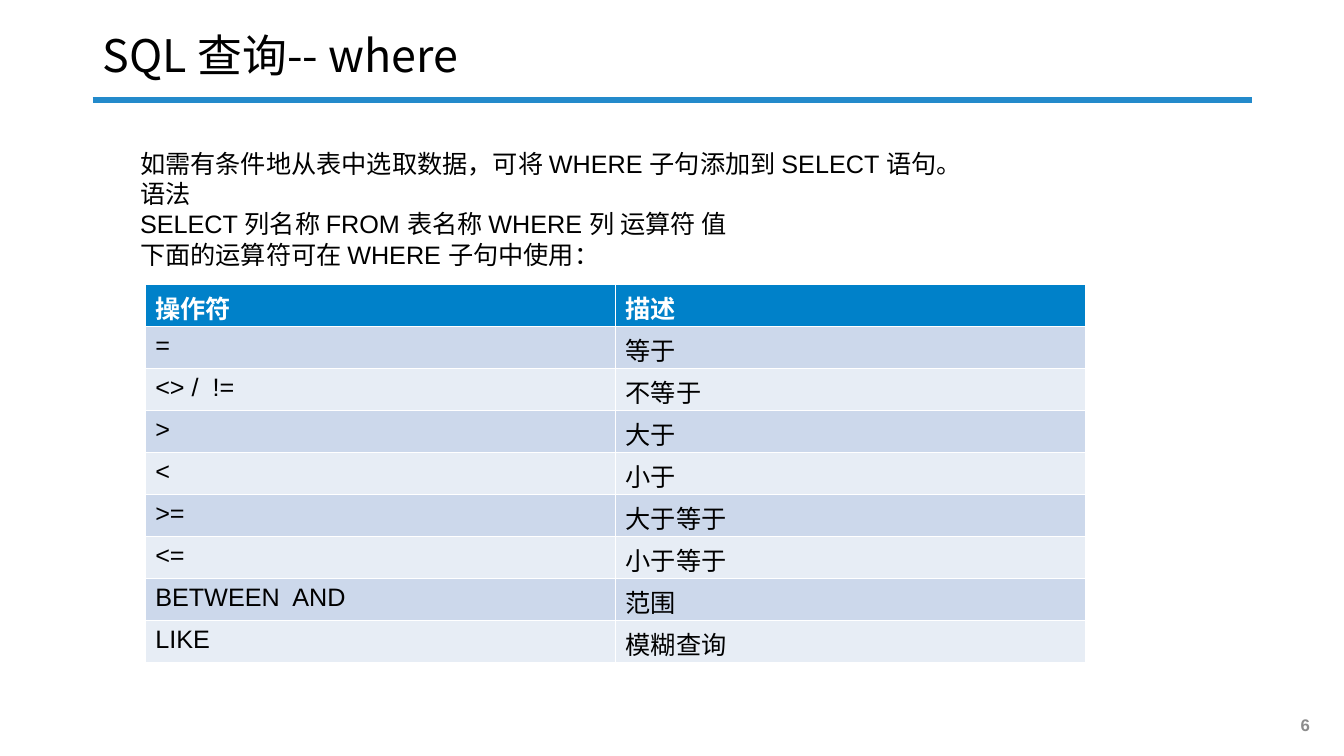
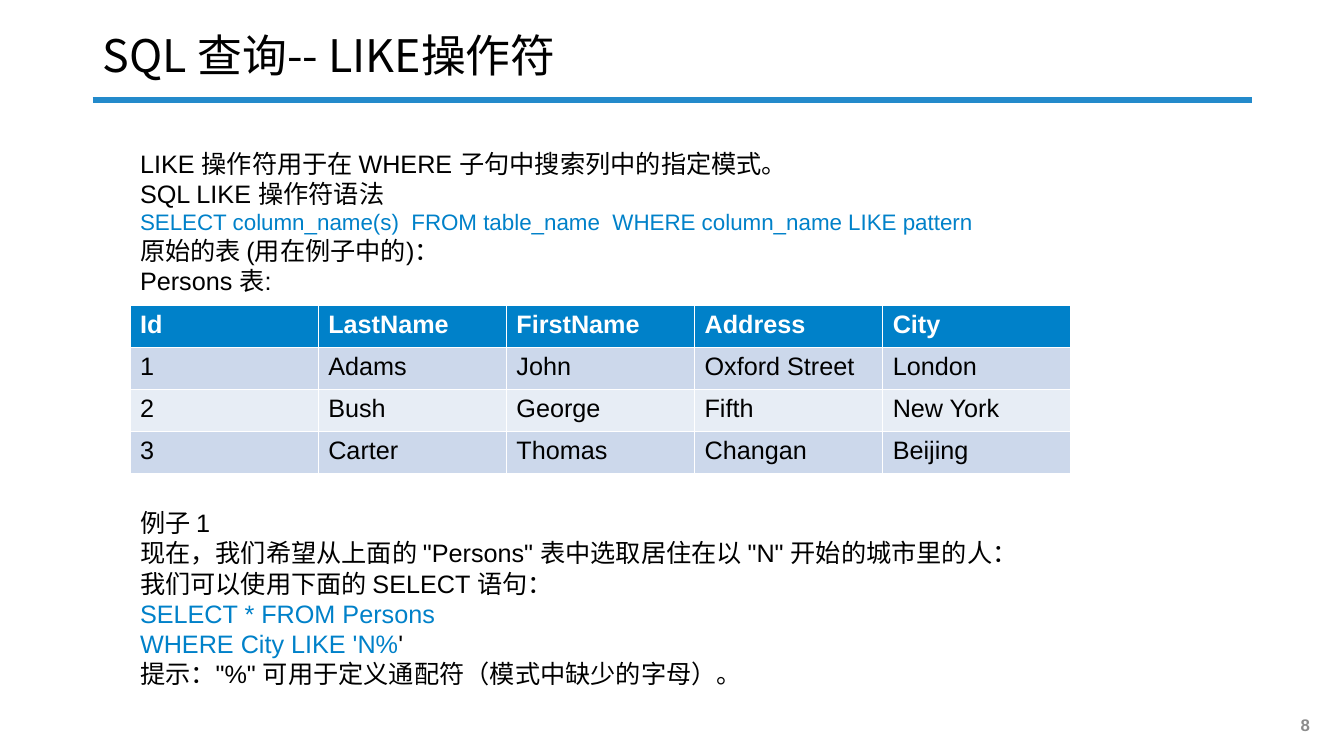
from pptx import Presentation
from pptx.dml.color import RGBColor
from pptx.enum.shapes import MSO_CONNECTOR
from pptx.enum.text import MSO_ANCHOR, MSO_AUTO_SIZE, PP_ALIGN
from pptx.oxml.ns import qn
from pptx.util import Inches, Pt
from lxml import etree

BLACK = RGBColor(0x00, 0x00, 0x00)
WHITE = RGBColor(0xFF, 0xFF, 0xFF)
GRAY = RGBColor(0x8C, 0x8C, 0x8C)
BLUE = RGBColor(0x00, 0x81, 0xC9)
RULE_BLUE = RGBColor(0x23, 0x8A, 0xCB)
BANDS = [RGBColor(0xE7, 0xED, 0xF5), RGBColor(0xCC, 0xD8, 0xEB)]
BODY_FONT, TITLE_FONT = "Arial", "Noto Sans CJK SC"

prs = Presentation()
prs.slide_width, prs.slide_height = Inches(13.33), Inches(7.5)
W, H = prs.slide_width, prs.slide_height
TITLE_LEFT, TITLE_WIDTH = Inches(0.92), Inches(11.5)
TEXT_LEFT, TEXT_WIDTH = Inches(1.29), Inches(10.51)
TABLE_WIDTH, ROW_HEIGHT = int(W * 0.7), H // 18
TABLE_GAP = Pt(151)  # room for the table between two paragraphs

# Text lines are (text, size, colour, space before)
SLIDES = [
    {
        "title": "SQL 查询-- where",
        "number": "6",
        "text_height": 1.31,
        "lines": [
            ("如需有条件地从表中选取数据，可将 WHERE 子句添加到 SELECT 语句。", 18, BLACK, 0),
            ("语法", 18, BLACK, 0),
            ("SELECT 列名称 FROM 表名称 WHERE 列 运算符 值", 18, BLACK, 0),
            ("下面的运算符可在 WHERE 子句中使用：", 18, BLACK, 0),
        ],
        "table_at": (1.44, 2.82),
        "rows": [
            ("操作符", "描述"),
            ("=", "等于"),
            ("<> /  !=", "不等于"),
            (">", "大于"),
            ("<", "小于"),
            (">=", "大于等于"),
            ("<=", "小于等于"),
            ("BETWEEN  AND", "范围"),
            ("LIKE", "模糊查询"),
        ],
    },
    {
        "title": "SQL 查询-- LIKE操作符",
        "number": "8",
        "text_height": 5.52,
        "lines": [
            ("LIKE 操作符用于在 WHERE 子句中搜索列中的指定模式。", 18, BLACK, 0),
            ("SQL LIKE 操作符语法", 18, BLACK, 0),
            ("SELECT column_name(s)  FROM table_name  WHERE column_name LIKE pattern", 16, BLUE, 0),
            ("原始的表 (用在例子中的)：", 18, BLACK, 0),
            ("Persons 表:", 18, BLACK, 0),
            ("例子 1", 18, BLACK, TABLE_GAP),
            ('现在，我们希望从上面的 "Persons" 表中选取居住在以 "N" 开始的城市里的人：', 18, BLACK, 0),
            ("我们可以使用下面的 SELECT 语句：", 18, BLACK, 0),
            ("SELECT * FROM Persons", 18, BLUE, 0),
            ("WHERE City LIKE 'N%", 18, BLUE, 0),
            ('提示："%" 可用于定义通配符（模式中缺少的字母）。', 18, BLACK, 0),
        ],
        "closing_quote": 9,  # line that ends with a black quote
        "table_at": (1.29, 3.03),
        "rows": [
            ("Id", "LastName", "FirstName", "Address", "City"),
            ("1", "Adams", "John", "Oxford Street", "London"),
            ("2", "Bush", "George", "Fifth", "New York"),
            ("3", "Carter", "Thomas", "Changan", "Beijing"),
        ],
    },
]


def style(p, size, color, bold=False, name=BODY_FONT):
    font = p.font
    font.size, font.bold, font.name = Pt(size), bold, name
    font.color.rgb = color


for content in SLIDES:
    s = prs.slides.add_slide(prs.slide_layouts[5])

    # Title and the rule under it
    title = s.shapes.title
    title.left, title.top = TITLE_LEFT, Inches(0.2)
    title.width, title.height = TITLE_WIDTH, Inches(0.76)
    tf = title.text_frame
    tf.text = content["title"]
    tf.auto_size, tf.vertical_anchor = MSO_AUTO_SIZE.NONE, MSO_ANCHOR.MIDDLE
    p = tf.paragraphs[0]
    p.alignment, p.line_spacing = PP_ALIGN.LEFT, 0.9
    style(p, 32, BLACK, name=TITLE_FONT)

    rule = s.shapes.add_connector(MSO_CONNECTOR.STRAIGHT, TITLE_LEFT, Inches(0.99),
                                  TITLE_LEFT + TITLE_WIDTH, Inches(0.99))
    rule.line.color.rgb, rule.line.width = RULE_BLUE, Pt(4.5)
    etree.SubElement(rule.element.spPr, qn("a:effectLst"))

    # Slide number
    sp = s.shapes.add_textbox(Inches(12.65), Inches(6.99), Inches(0.59), Inches(0.4))
    tf = sp.text_frame
    tf.text = content["number"]
    tf.word_wrap, tf.vertical_anchor = True, MSO_ANCHOR.MIDDLE
    tf.paragraphs[0].alignment = PP_ALIGN.CENTER
    style(tf.paragraphs[0], 12, GRAY, bold=True)

    # Body text
    sp = s.shapes.add_textbox(TEXT_LEFT, Inches(1.42), TEXT_WIDTH, Inches(content["text_height"]))
    tf = sp.text_frame
    tf.word_wrap = True
    for i, (text, size, color, space) in enumerate(content["lines"]):
        p = tf.add_paragraph() if i else tf.paragraphs[0]
        p.add_run().text = text
        p.space_before = Pt(0) + space
        style(p, size, color)
        if i == content.get("closing_quote"):
            r = p.add_run()
            r.text = "'"
            r.font.color.rgb = BLACK

    # Table
    rows = content["rows"]
    left, top = (Inches(v) for v in content["table_at"])
    table = s.shapes.add_table(len(rows), len(rows[0]), left, top,
                               TABLE_WIDTH, ROW_HEIGHT * len(rows)).table
    for i, row in enumerate(rows):
        header = i == 0
        for j, text in enumerate(row):
            cell = table.cell(i, j)
            cell.text = text
            cell.fill.solid()
            cell.fill.fore_color.rgb = BLUE if header else BANDS[i % 2]
            style(cell.text_frame.paragraphs[0], 18, WHITE if header else BLACK, bold=header)

prs.save("out.pptx")
